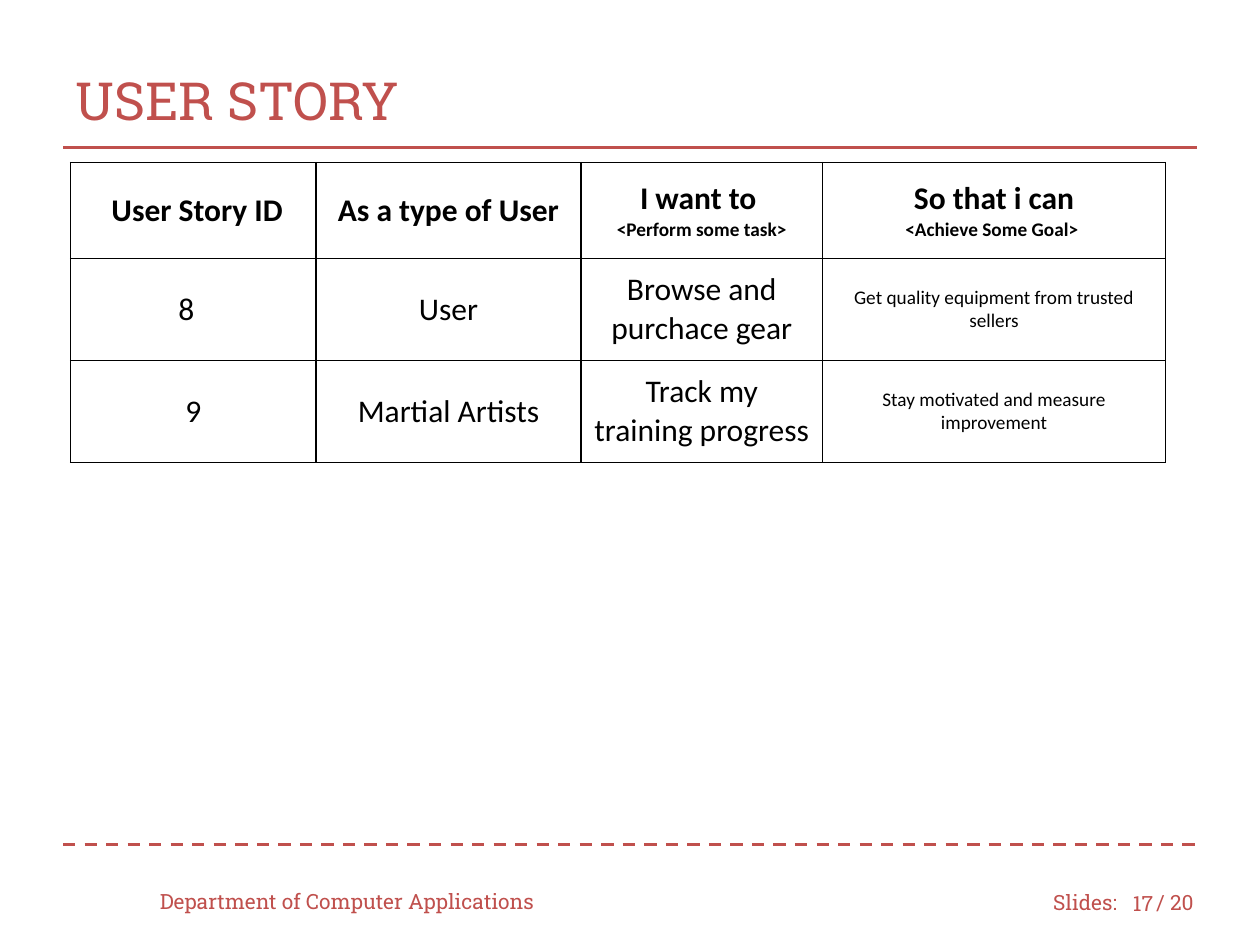
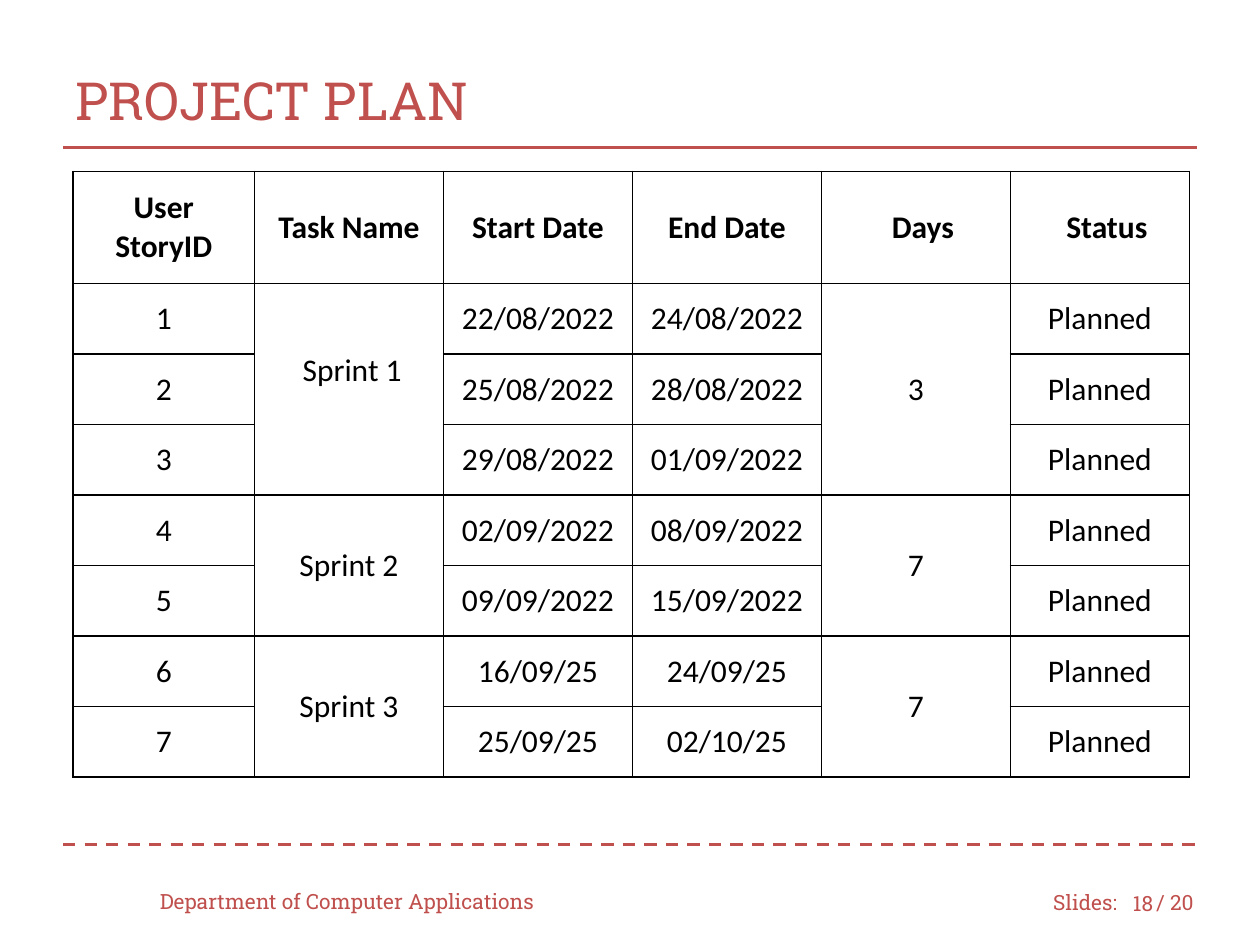
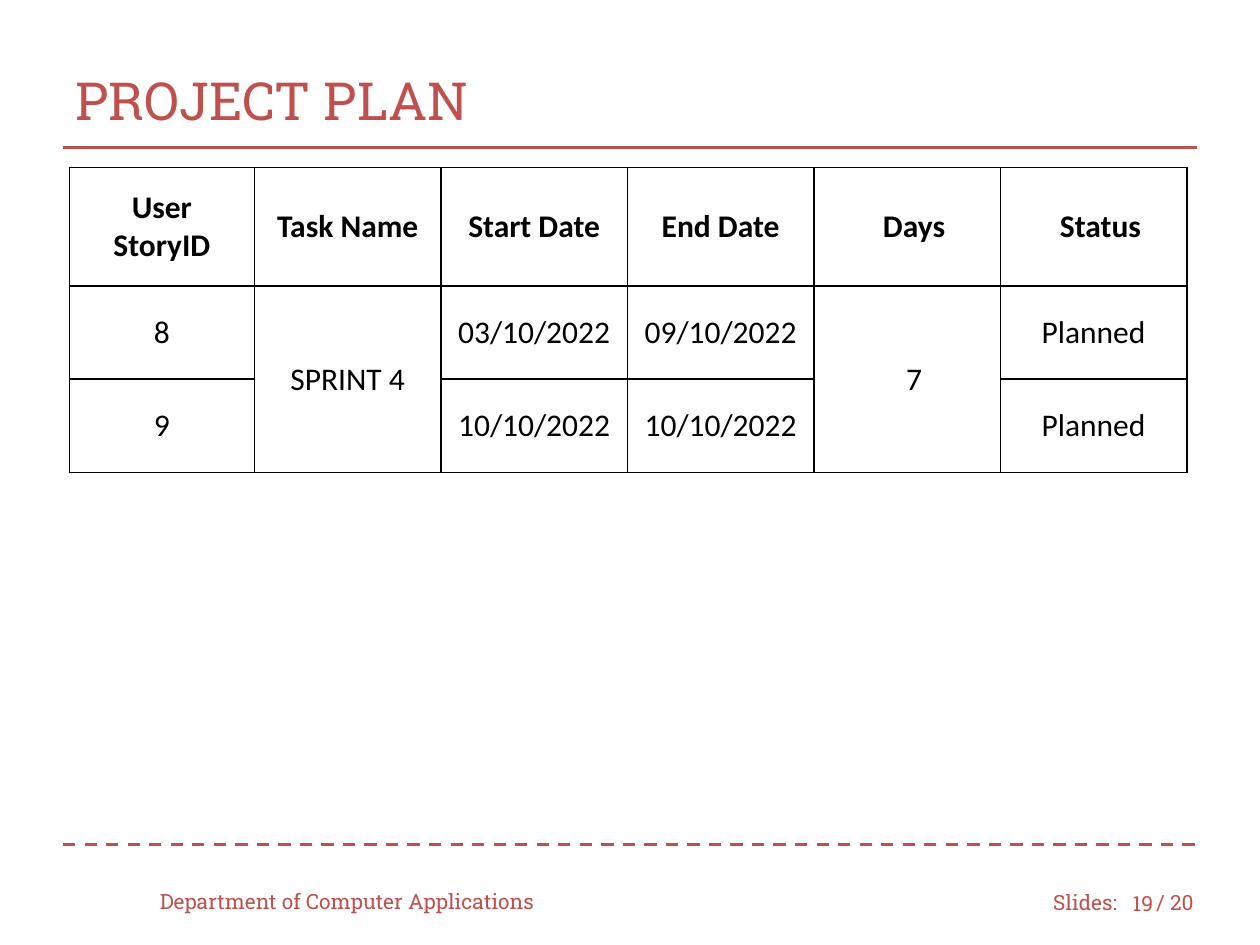
"""Build three project slides: a user story table and two project plan tables."""
from dataclasses import dataclass
from itertools import takewhile

from lxml.etree import SubElement
from pptx import Presentation
from pptx.dml.color import RGBColor
from pptx.enum.dml import MSO_LINE
from pptx.enum.shapes import MSO_CONNECTOR
from pptx.enum.text import MSO_ANCHOR, PP_ALIGN
from pptx.oxml.ns import qn
from pptx.util import Inches, Pt

RED, BLACK, WHITE = "C0504D", "000000", "FFFFFF"
HEADING_FONT, TABLE_FONT = "Roboto Slab", "Calibri"
FIRST_NUMBER = 17
CELL_INSET = 0.1


@dataclass
class Cell:
    """Table cell text, with a small second line and extra insets in inches."""
    text: str
    size: int = 18
    note: str = ""
    left: float = 0
    right: float = 0
    bottom: float = 0


PLAN_HEADER = ["User\nStoryID", "Task Name", "Start Date", "End Date",
               Cell("Days", left=0.11), Cell("Status", left=0.11)]

STORY_ROWS = [
    [Cell("User Story ID", left=0.06), "As a type of User",
     Cell("I want to ", note="<Perform some task>"),
     Cell("So that i can", note="<Achieve Some Goal> ")],
    [Cell("8", right=0.11), "User", "Browse and purchace gear",
     Cell("Get quality equipment from trusted sellers", size=11)],
    ["9", "Martial Artists", "Track my training progress",
     Cell("Stay motivated and measure improvement", size=11)],
]

SPRINT_ROWS = [
    PLAN_HEADER,
    ["1", Cell("Sprint 1", left=0.05, bottom=0.3), "22/08/2022", "24/08/2022", "3", "Planned"],
    ["2", None, "25/08/2022", "28/08/2022", None, "Planned"],
    ["3", None, "29/08/2022", "01/09/2022", None, "Planned"],
    ["4", "Sprint 2", "02/09/2022", "08/09/2022", "7", "Planned"],
    ["5", None, "09/09/2022", "15/09/2022", None, "Planned"],
    ["6", "Sprint 3", "16/09/25", "24/09/25", "7", "Planned"],
    ["7", None, "25/09/25", "02/10/25", None, "Planned"],
]

LAST_SPRINT_ROWS = [
    PLAN_HEADER,
    ["8", "SPRINT 4", "03/10/2022", "09/10/2022", Cell("7", left=0.11), "Planned"],
    ["9", None, "10/10/2022", "10/10/2022", None, "Planned"],
]


def rgb(value):
    """Turn a hex string into a colour."""
    return RGBColor.from_string(value)


def add_run(p, text, size, font, color, bold=False):
    """Add one formatted run to a paragraph."""
    r = p.add_run()
    r.text = text
    r.font.size = Pt(size)
    r.font.name = font
    r.font.bold = bold
    r.font.color.rgb = rgb(color)


def add_label(s, text, left, top, width, align=PP_ALIGN.LEFT):
    """Add a footer label."""
    tf = s.shapes.add_textbox(Inches(left), Inches(top), Inches(width), Inches(0.4)).text_frame
    tf.word_wrap = True
    tf.vertical_anchor = MSO_ANCHOR.MIDDLE
    p = tf.paragraphs[0]
    p.alignment = align
    add_run(p, text, 12, HEADING_FONT, RED)


def add_rule(s, top, dash=None):
    """Draw a horizontal rule between the slide margins."""
    sp = s.shapes.add_connector(MSO_CONNECTOR.STRAIGHT, Inches(0.5), Inches(top),
                                Inches(9.5), Inches(top))
    sp.line.color.rgb = rgb(RED)
    sp.line.width = Pt(1.75)
    if dash:
        sp.line.dash_style = dash
    SubElement(sp._element.spPr, qn("a:effectLst"))


def add_title(s, text):
    """Place and format the title."""
    sp = s.shapes.title
    sp.left, sp.top, sp.width, sp.height = (Inches(v) for v in (0.5, 0.33, 9, 0.92))
    tf = sp.text_frame
    tf.vertical_anchor = MSO_ANCHOR.MIDDLE
    p = tf.paragraphs[0]
    p.alignment = PP_ALIGN.LEFT
    add_run(p, text, 30, HEADING_FONT, RED)


def add_plain_slide(prs, title, number):
    """Add a slide with the shared title, rules and footer."""
    s = prs.slides.add_slide(prs.slide_layouts[5])
    add_rule(s, 6.7, MSO_LINE.DASH)
    add_rule(s, 1.17)
    add_title(s, title)
    add_label(s, "Department of Computer Applications", 1.17, 6.95, 3.33)
    add_label(s, "Slides:", 8.26, 6.96, 0.75)
    add_label(s, str(number), 8.83, 6.97, 0.42, PP_ALIGN.RIGHT)
    add_label(s, "/ 20", 9.08, 6.96, 0.58)
    return s


def format_cell(cell):
    """Give a table cell thin black borders and a white fill."""
    tc_pr = cell._tc.get_or_add_tcPr()
    for side in ("a:lnL", "a:lnR", "a:lnT", "a:lnB"):
        ln = SubElement(tc_pr, qn(side), w=str(Pt(1)))
        SubElement(SubElement(ln, qn("a:solidFill")), qn("a:srgbClr"), val=BLACK)
    cell.fill.solid()
    cell.fill.fore_color.rgb = rgb(WHITE)


def fill_cell(cell, content, bold):
    """Write centred text into a table cell."""
    cell.vertical_anchor = MSO_ANCHOR.MIDDLE
    cell.margin_left = Inches(CELL_INSET + content.left)
    cell.margin_right = Inches(CELL_INSET + content.right)
    cell.margin_top = Inches(CELL_INSET)
    cell.margin_bottom = Inches(CELL_INSET + content.bottom)
    lines = [(text, content.size) for text in content.text.split("\n")]
    if content.note:
        lines.append((content.note, 11))
    tf = cell.text_frame
    for i, (text, size) in enumerate(lines):
        p = tf.add_paragraph() if i else tf.paragraphs[0]
        p.alignment = PP_ALIGN.CENTER
        add_run(p, text, size, TABLE_FONT, BLACK, bold)


def add_grid(s, rows, left, top, widths, heights):
    """Add a table in which None continues the cell above."""
    table = s.shapes.add_table(len(rows), len(widths), Inches(left), Inches(top),
                               Inches(sum(widths)), Inches(sum(heights))).table
    table.horz_banding = False
    for column, width in zip(table.columns, widths):
        column.width = Inches(width)
    for row, height in zip(table.rows, heights):
        row.height = Inches(height)
    for i, row in enumerate(rows):
        for j, content in enumerate(row):
            cell = table.cell(i, j)
            format_cell(cell)
            if content is None:
                continue
            if isinstance(content, str):
                content = Cell(content)
            fill_cell(cell, content, bold=i == 0)
            extra = len(list(takewhile(lambda below: below[j] is None, rows[i + 1:])))
            if extra:
                cell.merge(table.cell(i + extra, j))


def main():
    """Build and save the slides."""
    prs = Presentation()
    prs.slide_width, prs.slide_height = Inches(10), Inches(7.5)
    slides = [
        ("USER STORY", STORY_ROWS, 0.56, 1.29, [1.95, 2.1, 1.92, 2.72], [0.76] + [0.81] * 2),
        ("PROJECT PLAN", SPRINT_ROWS, 0.58, 1.36, [1.44] + [1.5] * 4 + [1.42],
         [0.89] + [0.56] * 7),
        ("PROJECT PLAN", LAST_SPRINT_ROWS, 0.55, 1.33, [1.47] + [1.48] * 5,
         [0.94] + [0.74] * 2),
    ]
    for number, (title, *grid) in enumerate(slides, FIRST_NUMBER):
        add_grid(add_plain_slide(prs, title, number), *grid)
    prs.save("out.pptx")


if __name__ == "__main__":
    main()
